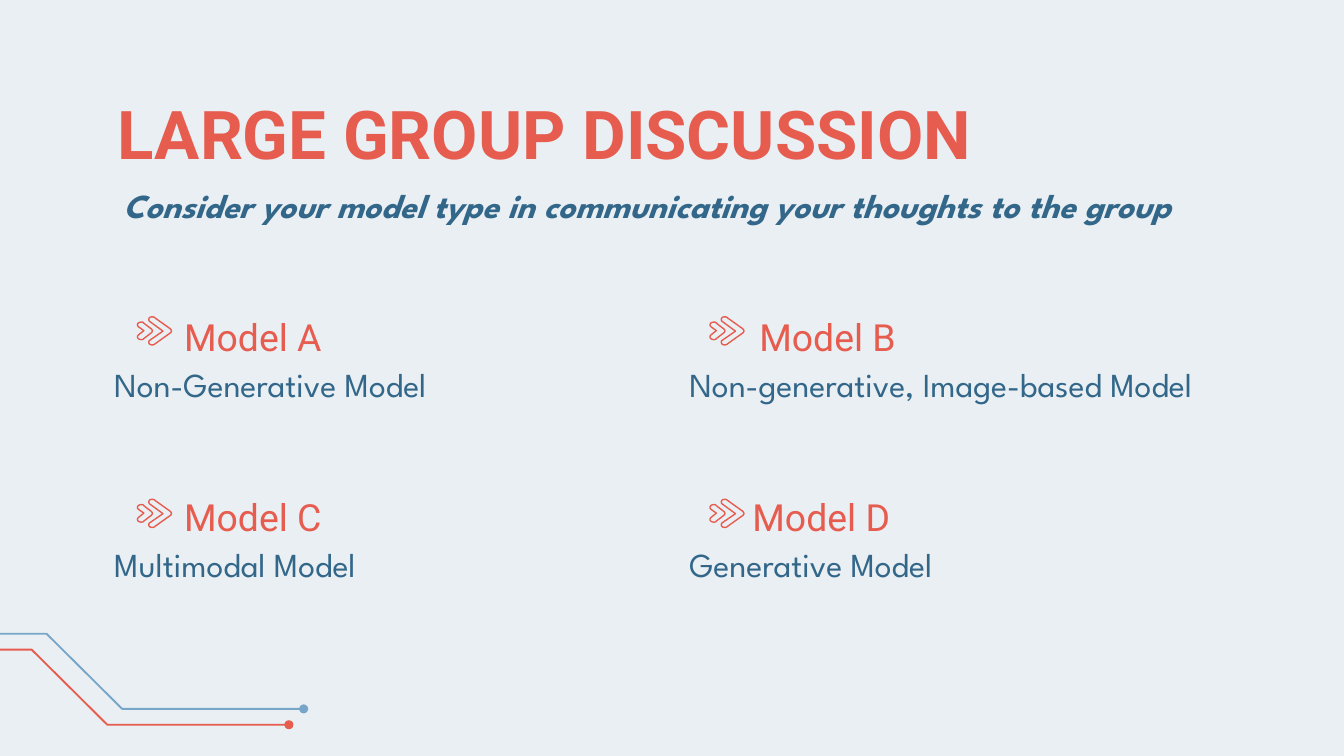
from dataclasses import dataclass

from pptx import Presentation
from pptx.dml.color import RGBColor as Rgb
from pptx.enum.shapes import MSO_SHAPE as Kind
from pptx.enum.text import MSO_ANCHOR as Anchor
from pptx.util import Cm, Pt


@dataclass(frozen=True)
class Theme:
    back: str = "EAEFF3"
    red: str = "E65C4F"
    navy: str = "33678A"
    blue: str = "78A6C9"
    head: str = "Roboto"
    body: str = "League Spartan"
    big: int = 36
    mid: int = 20
    small: int = 18
    thin: float = 0.75
    wire: float = 1


T = Theme()

TITLE = "LARGE GROUP DISCUSSION"
HINT = "Consider your model type in communicating your thoughts to the group"

# name, type, column, row, indent of the name, width of the type
MODELS = [
    ("Model A", "Non-Generative Model", 0, 0, 1.32, 7.32),
    ("Model C", "Multimodal Model", 0, 1, 1.32, 7.32),
    ("Model B", "Non-generative, Image-based Model", 1, 0, 1.32, 11.99),
    ("Model D", "Generative Model", 1, 1, 1.19, 7.32),
]

# Outlines in cm: a single point is a straight step, three points are a curve
CHEVRONS = [
    [[(0.30, 0)],
     [(0.25, 0), (0.23, 0.04), (0.25, 0.08)],
     [(0.51, 0.27)], [(0.25, 0.45)],
     [(0.23, 0.49), (0.25, 0.53), (0.30, 0.53)],
     [(0.32, 0.53), (0.34, 0.53), (0.36, 0.51)],
     [(0.64, 0.31)],
     [(0.68, 0.29), (0.68, 0.25), (0.64, 0.22)],
     [(0.36, 0.02)],
     [(0.34, 0), (0.32, 0), (0.30, 0)]],
    [[(0.10, 0.10)],
     [(0.04, 0.10), (0, 0.15), (0.05, 0.19)],
     [(0.15, 0.26)], [(0.05, 0.34)],
     [(0, 0.38), (0.04, 0.43), (0.10, 0.43)],
     [(0.12, 0.43), (0.14, 0.43), (0.15, 0.41)],
     [(0.28, 0.31)],
     [(0.32, 0.28), (0.32, 0.25), (0.28, 0.22)],
     [(0.15, 0.12)],
     [(0.14, 0.10), (0.12, 0.10), (0.10, 0.10)]],
]

WIRE = [(-0.41, 11.98), (0.88, 11.98), (2.31, 13.4), (5.74, 13.4)]
WIRES = [(T.blue, 0, 0), (T.red, -0.28, 0.3)]
DOT = 0.17

LEFT, TOP = 1.91, 5.69
COL, ROW = 10.87, 3.4
ICON_X, ICON_Y = 2.57, 5.99
ICON_COL, ICON_ROW = 10.82, 3.45


def write(slide, text, box, font, size, color, bold=False, italic=False):
    frame = slide.shapes.add_textbox(*map(Cm, box)).text_frame
    frame.word_wrap = True
    frame.vertical_anchor = Anchor.TOP
    frame.margin_left = frame.margin_right = Cm(0.25)
    frame.margin_top = frame.margin_bottom = Cm(0.25)
    para = frame.paragraphs[0]
    para.space_after = Pt(16)
    run = para.add_run()
    run.text = text
    face = run.font
    face.name, face.size = font, Pt(size)
    face.bold, face.italic = bold, italic
    face.color.rgb = Rgb.from_string(color)


def trace(parts, dots, x, y, color, width, close=False):
    """Draw an unfilled outline through dots, shifted by x and y."""
    spots = [(Cm(x + a), Cm(y + b)) for a, b in dots]
    pen = parts.build_freeform(*spots[0])
    pen.add_line_segments(spots[1:], close=close)
    shape = pen.convert_to_shape()
    shape.shadow.inherit = False
    shape.fill.background()
    shape.line.color.rgb = Rgb.from_string(color)
    shape.line.width = Pt(width)


def bend(steps, count=6):
    """Turn straight steps and cubic curves into a list of points."""
    dots = []
    for step in steps:
        if len(step) == 1:
            dots += step
            continue
        curve = [dots[-1], *step]
        for i in range(1, count + 1):
            t = i / count
            mix = ((1 - t) ** 3, 3 * t * (1 - t) ** 2,
                   3 * t * t * (1 - t), t ** 3)
            dots.append(tuple(sum(m * p[k] for m, p in zip(mix, curve))
                              for k in (0, 1)))
    return dots


def main():
    deck = Presentation()
    deck.slide_width, deck.slide_height = Cm(25.4), Cm(14.29)
    slide = deck.slides.add_slide(deck.slide_layouts[6])
    fill = slide.background.fill
    fill.solid()
    fill.fore_color.rgb = Rgb.from_string(T.back)

    for color, x, y in WIRES:
        trace(slide.shapes, WIRE, x, y, color, T.wire)
        end, low = WIRE[-1]
        dot = slide.shapes.add_shape(
            Kind.OVAL, Cm(end + x - DOT / 2), Cm(low + y - DOT / 2),
            Cm(DOT), Cm(DOT))
        dot.shadow.inherit = False
        dot.fill.solid()
        dot.fill.fore_color.rgb = Rgb.from_string(color)
        dot.line.fill.background()

    write(slide, TITLE, (1.98, 1.5, 21.56, 1.7), T.head, T.big, T.red,
          bold=True)
    for name, sort, col, row, inset, wide in MODELS:
        x, y = LEFT + col * COL, TOP + row * ROW
        write(slide, name, (x + inset, y, 5.16, 0.89), T.head, T.mid, T.red)
        write(slide, sort, (x, y + 0.94, wide, 1.57), T.body, T.small, T.navy)
        icon = slide.shapes.add_group_shape()
        for steps in CHEVRONS:
            trace(icon.shapes, bend(steps), ICON_X + col * ICON_COL,
                  ICON_Y + row * ICON_ROW, T.red, T.thin, close=True)
    write(slide, HINT, (2.08, 3.25, 23.01, 1.57), T.body, T.small, T.navy,
          bold=True, italic=True)
    deck.save("out.pptx")


if __name__ == "__main__":
    main()
